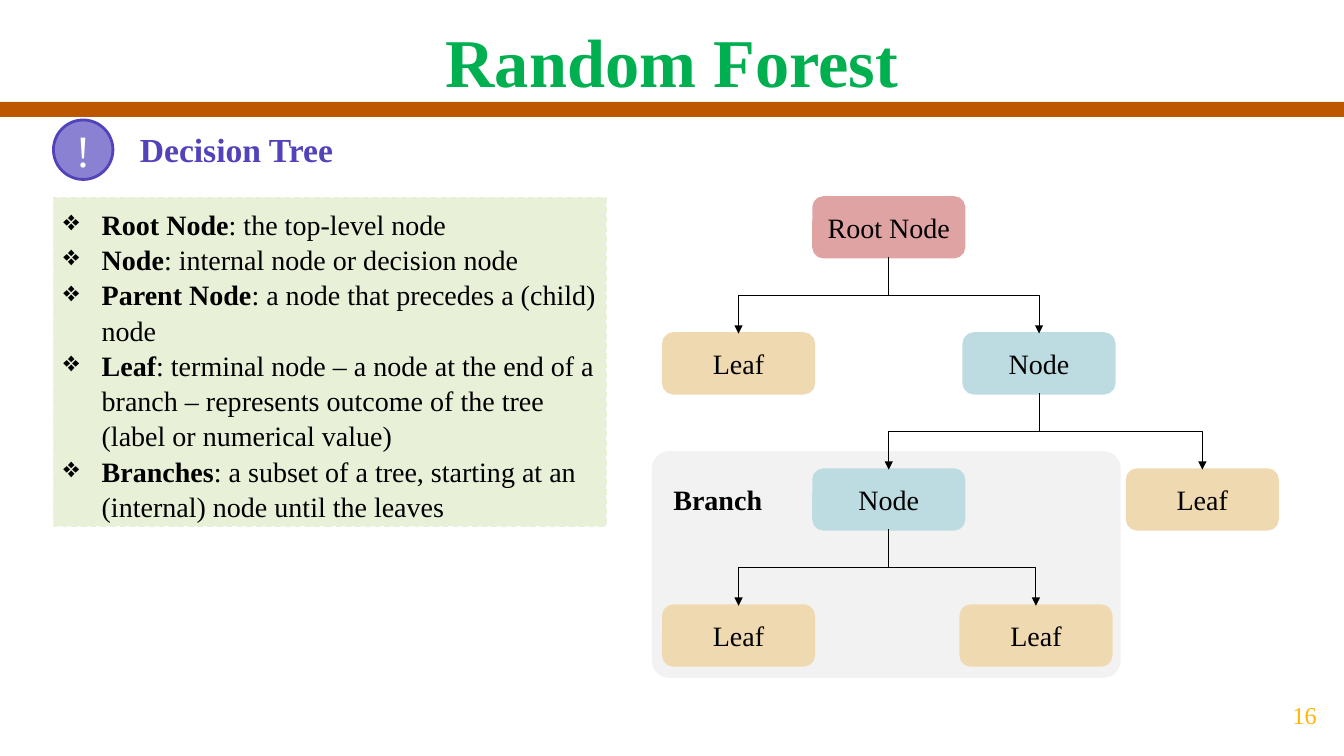
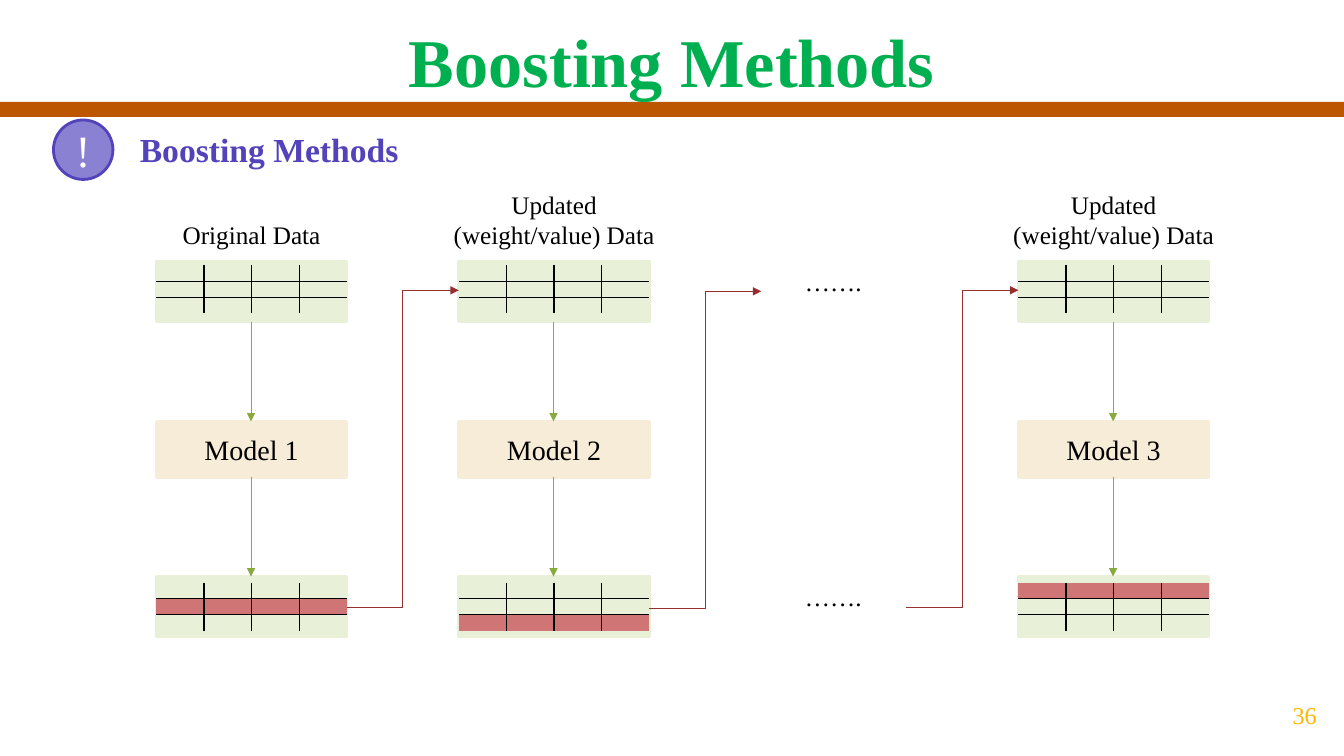
from dataclasses import dataclass
from typing import NamedTuple

from lxml.etree import SubElement
from pptx import Presentation
from pptx.dml.color import RGBColor
from pptx.enum.dml import MSO_LINE
from pptx.enum.shapes import MSO_CONNECTOR as LINK, MSO_SHAPE as SHAPE
from pptx.enum.text import MSO_ANCHOR as ANCHOR, PP_ALIGN as ALIGN
from pptx.oxml.ns import qn
from pptx.util import Pt

PX = 9144  # EMU per px, 100 px to the inch


@dataclass(frozen=True)
class Theme:
    font: str = "Times New Roman"
    # Colours
    title: str = "00B050"
    band: str = "BD5600"
    accent: str = "5243BB"
    badge: str = "8B81D2"
    number: str = "FFB600"
    ink: str = "000000"
    paper: str = "FFFFFF"
    panel: str = "E8F0D8"
    branch: str = "F2F2F2"
    root: str = "E0A3A3"
    node: str = "BCDCE1"
    leaf: str = "EFD9B0"
    model: str = "F7ECD7"
    error: str = "D07576"
    flow: str = "89AA3E"
    feedback: str = "952F30"
    # Type sizes
    title_size: float = 48.8
    badge_size: float = 32
    heading_size: float = 24
    body_size: float = 20
    label_size: float = 18
    number_size: float = 17.3


THEME = Theme()


class Box(NamedTuple):
    left: int
    top: int
    width: int
    height: int

    def inner(self, left, top, width, height):
        return Box(self.left + left, self.top + top, width, height)

    def emu(self):
        return [length * PX for length in self]


def colour(value):
    return RGBColor.from_string(value)


# Basic parts
def add_span(para, text, size, ink=THEME.ink, bold=False):
    span = para.add_run()
    span.text = text
    span.font.name = THEME.font
    span.font.size = Pt(size)
    span.font.bold = bold
    span.font.color.rgb = colour(ink)


def write(shape, text, size, ink=THEME.ink, bold=False,
          align=ALIGN.CENTER, anchor=ANCHOR.MIDDLE):
    frame = shape.text_frame
    frame.word_wrap = True
    frame.vertical_anchor = anchor
    para = frame.paragraphs[0]
    para.alignment = align
    add_span(para, text, size, ink, bold)
    return frame


def add_text(page, box, text, size, **style):
    shape = page.shapes.add_textbox(*box.emu())
    return write(shape, text, size, **{"anchor": ANCHOR.TOP, **style})


def add_block(page, kind, box, fill, edge=None, weight=2):
    shape = page.shapes.add_shape(kind, *box.emu())
    shape.shadow.inherit = False
    shape.fill.solid()
    shape.fill.fore_color.rgb = colour(fill)
    if edge:
        shape.line.color.rgb = colour(edge)
        shape.line.width = Pt(weight)
    else:
        shape.line.fill.background()
    return shape


def add_arrow(page, kind, start, end, ink):
    arrow = page.shapes.add_connector(kind, *(length * PX for length in start + end))
    arrow.line.color.rgb = colour(ink)
    arrow.line.width = Pt(0.75)
    properties = arrow.element.spPr
    SubElement(properties.find(qn("a:ln")), qn("a:tailEnd"), type="triangle")
    SubElement(properties, qn("a:effectLst"))
    return arrow


# Frame shared by all slides
def add_page(deck, title, heading, number):
    page = deck.slides.add_slide(deck.slide_layouts[6])
    add_block(page, SHAPE.RECTANGLE, Box(0, 101, 1333, 15), THEME.band)
    frame = add_text(page, Box(0, 6, 1333, 95), title, THEME.title_size,
                     ink=THEME.title, bold=True)
    frame.margin_top = 13 * PX
    bar = add_block(page, SHAPE.ROUNDED_RECTANGLE, Box(126, 118, 1153, 60), THEME.paper)
    write(bar, heading, THEME.heading_size, THEME.accent, True, ALIGN.LEFT)
    badge = add_block(page, SHAPE.OVAL, Box(53, 119, 59, 59), THEME.badge, THEME.accent)
    write(badge, "!", THEME.badge_size, THEME.paper)
    add_text(page, Box(1255, 669, 78, 81), number, THEME.number_size,
             ink=THEME.number, anchor=ANCHOR.MIDDLE)
    return page


# Decision tree slide
def add_definitions(page, box, definitions):
    panel = add_block(page, SHAPE.RECTANGLE, box, THEME.panel, THEME.panel, 1)
    panel.line.dash_style = MSO_LINE.DASH
    frame = page.shapes.add_textbox(*box.inner(0, 3, box.width, 313).emu()).text_frame
    frame.word_wrap = True
    for index, (term, meaning) in enumerate(definitions):
        para = frame.add_paragraph() if index else frame.paragraphs[0]
        properties = para._p.get_or_add_pPr()
        properties.set("marL", str(38 * PX))
        properties.set("indent", str(-38 * PX))
        SubElement(properties, qn("a:buChar"), char="❖")
        para.line_spacing = 1.05
        add_span(para, term, THEME.body_size, bold=True)
        add_span(para, ": " + meaning, THEME.body_size)


def link_nodes(page, parent, child):
    """Elbow that leaves the parent downwards: a turned frame about its centre."""
    arrow = add_arrow(page, LINK.ELBOW, (0, 0), (1, 1), THEME.ink)
    arrow.begin_connect(parent, 2)
    arrow.end_connect(child, 0)
    start_x, start_y = parent.left + parent.width // 2, parent.top + parent.height
    end_x, end_y = child.left + child.width // 2, child.top
    across, down = abs(end_x - start_x), end_y - start_y
    arrow.left = (start_x + end_x - down) // 2
    arrow.top = (start_y + end_y - across) // 2
    arrow.width, arrow.height = down, across
    goes_right = end_x > start_x
    frame = arrow.element.spPr.find(qn("a:xfrm"))
    frame.set("rot", str((270 if goes_right else 90) * 60000))
    frame.set("flipH", str(int(goes_right)))
    frame.set("flipV", "0")


def add_tree(page, box):
    branch = add_block(page, SHAPE.ROUNDED_RECTANGLE, box.inner(0, 253, 462, 222),
                       THEME.branch, THEME.branch)
    branch.adjustments[0] = 0.07
    # Name, colour, left edge, level, index of the parent
    nodes = [
        ("Root Node", THEME.root, 159, 0, None),
        ("Leaf", THEME.leaf, 10, 1, 0),
        ("Node", THEME.node, 308, 1, 0),
        ("Node", THEME.node, 159, 2, 2),
        ("Leaf", THEME.leaf, 470, 2, 2),
        ("Leaf", THEME.leaf, 10, 3, 3),
        ("Leaf", THEME.leaf, 305, 3, 3),
    ]
    shapes = []
    for name, fill, left, level, _ in nodes:
        shape = add_block(page, SHAPE.ROUNDED_RECTANGLE,
                          box.inner(left, 135 * level, 149, 59), fill, fill)
        frame = write(shape, name, THEME.body_size)
        frame.margin_left = frame.margin_right = 5 * PX
        shapes.append(shape)
    for shape, (*_, parent) in zip(shapes, nodes):
        if parent is not None:
            link_nodes(page, shapes[parent], shape)
    add_text(page, box.inner(10, 278, 125, 44), "Branch", THEME.body_size,
             bold=True, align=ALIGN.LEFT)


def build_tree_slide(deck):
    page = add_page(deck, "Random Forest", "Decision Tree", "16")
    add_tree(page, Box(648, 196, 619, 475))
    add_definitions(page, Box(53, 196, 548, 326), [
        ("Root Node", "the top-level node"),
        ("Node", "internal node or decision node"),
        ("Parent Node", "a node that precedes a (child) node"),
        ("Leaf", "terminal node – a node at the end of a branch – "
                 "represents outcome of the tree (label or numerical value)"),
        ("Branches", "a subset of a tree, starting at an (internal) node until the leaves"),
    ])


# Boosting slide
def set_borders(cell, visible):
    properties = cell._tc.get_or_add_tcPr()
    for side in "LRTB":
        line = SubElement(properties, qn("a:ln" + side), w=str(Pt(1)))
        if side in visible:
            fill = SubElement(line, qn("a:solidFill"))
            SubElement(fill, qn("a:srgbClr"), val=THEME.ink)
        else:
            SubElement(line, qn("a:noFill"))


def add_grid(page, box, error_row=None, rows=3, columns=4):
    """Table ruled on the inside only, with one row of errors marked."""
    graphic = page.shapes.add_table(rows, columns, *box.emu())
    table = graphic.table
    table.first_row = table.horz_banding = False
    style = table._tbl.tblPr.find(qn("a:tableStyleId"))
    style.text = "{2D5ABB26-0587-4C30-8999-92F81FD0307C}"
    for column in table.columns:
        column.width = box.width * PX // columns
    for row_index, row in enumerate(table.rows):
        row.height = box.height * PX // rows
        for column_index, cell in enumerate(row.cells):
            ruled = {"L": column_index > 0, "R": column_index < columns - 1,
                     "T": row_index > 0, "B": row_index < rows - 1}
            set_borders(cell, [side for side in ruled if ruled[side]])
            if row_index == error_row:
                cell.fill.solid()
                cell.fill.fore_color.rgb = colour(THEME.error)
            else:
                cell.fill.background()
            cell.margin_left = cell.margin_right = 0
            cell.margin_top = cell.margin_bottom = 0
            SubElement(cell.text_frame.paragraphs[0]._p, qn("a:endParaRPr"), sz="600")


def add_stage(page, box, label, label_box, model, error_row):
    """Data at the top, model in the middle, marked errors at the bottom."""
    add_text(page, box.inner(*label_box), label, THEME.label_size)
    for top, inset, marked in ((0, 4, None), (313, 6, error_row)):
        add_block(page, SHAPE.RECTANGLE, box.inner(0, top, box.width, 60),
                  THEME.panel, THEME.panel)
        add_grid(page, box.inner(0, top + inset, box.width, 48), marked)
    block = add_block(page, SHAPE.RECTANGLE, box.inner(0, 159, box.width, 56),
                      THEME.model, THEME.model)
    write(block, model, THEME.body_size)
    middle = box.left + box.width // 2
    for start, end in ((60, 159), (214, 313)):
        add_arrow(page, LINK.STRAIGHT, (middle, box.top + start),
                  (middle, box.top + end), THEME.flow)


def build_boosting_slide(deck):
    page = add_page(deck, "Boosting Methods", "Boosting Methods", "36")
    original = ("Original Data", (0, -46, 189, 40))
    updated = ("Updated (weight/value) Data", (-20, -76, 229, 71))
    stages = [(155, original, 1), (455, updated, 2), (1010, updated, 0)]
    for number, (left, label, error_row) in enumerate(stages, 1):
        add_stage(page, Box(left, 259, 189, 373), *label, f"Model {number}", error_row)
    # Errors feed the next stage
    for left, drop in ((344, 0), (644, 1), (899, 0)):
        add_arrow(page, LINK.ELBOW, (left, 603 + drop), (left + 111, 288 + drop),
                  THEME.feedback)
    # Stages left out
    for top in (259, 572):
        add_text(page, Box(771, top, 111, 40), "…….", THEME.label_size)


def main():
    deck = Presentation()
    deck.slide_width, deck.slide_height = 1333 * PX, 750 * PX
    build_tree_slide(deck)
    build_boosting_slide(deck)
    deck.save("out.pptx")


if __name__ == "__main__":
    main()
